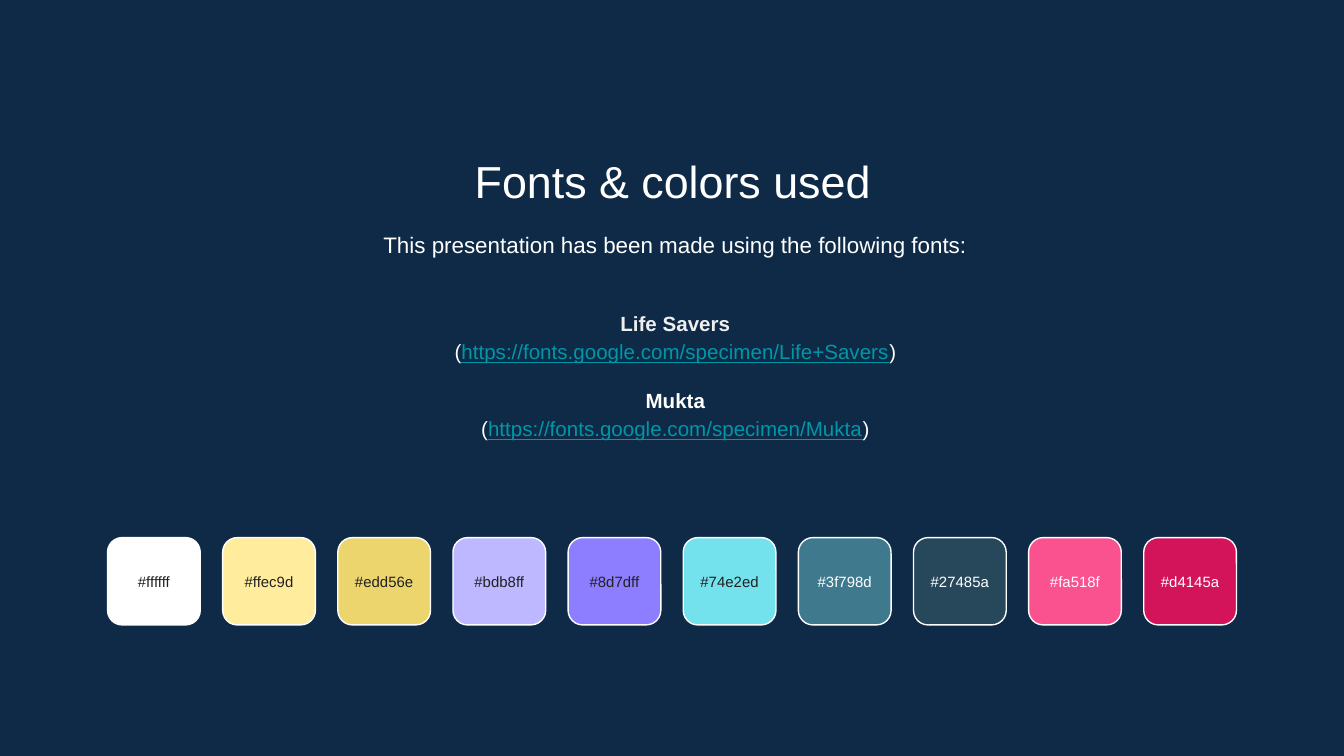
from pptx import Presentation
from pptx.dml.color import RGBColor
from pptx.enum.shapes import MSO_SHAPE
from pptx.enum.text import MSO_ANCHOR, MSO_AUTO_SIZE, PP_ALIGN
from pptx.util import Inches, Pt

FONT = "Arial"
COLORS = {"background": "0E2A47", "white": "FFFFFF", "pale": "EFEFEF",
          "dark": "212121", "link": "0097A7"}
FONTS_USED = [
    ("Life Savers", "https://fonts.google.com/specimen/Life+Savers", "pale"),
    ("Mukta", "https://fonts.google.com/specimen/Mukta", "white"),
]
SWATCHES = [
    ("ffffff", "dark"), ("ffec9d", "dark"), ("edd56e", "dark"),
    ("bdb8ff", "dark"), ("8d7dff", "dark"), ("74e2ed", "dark"),
    ("3f798d", "white"), ("27485a", "white"), ("fa518f", "white"),
    ("d4145a", "white"),
]


def rgb(name):
    return RGBColor.from_string(COLORS[name])


def set_frame(sp, anchor):
    """Give a text shape equal insets, wrapping and an anchor."""
    tf = sp.text_frame
    tf.word_wrap = True
    tf.auto_size = MSO_AUTO_SIZE.NONE
    tf.vertical_anchor = anchor
    tf.margin_left = tf.margin_right = Inches(0.1)
    tf.margin_top = tf.margin_bottom = Inches(0.1)
    return tf


def add_box(shapes, left, top, width, height, anchor=MSO_ANCHOR.TOP):
    sp = shapes.add_textbox(Inches(left), Inches(top), Inches(width), Inches(height))
    return set_frame(sp, anchor)


def add_run(p, text, size, color, bold=False, underline=False):
    p.alignment = PP_ALIGN.CENTER
    r = p.add_run()
    r.text = text
    r.font.name = FONT
    r.font.size = Pt(size)
    r.font.bold = bold
    r.font.underline = underline
    r.font.color.rgb = rgb(color)


def place_title(s, left, top, width, height):
    sp = s.shapes.title
    sp.left, sp.top = Inches(left), Inches(top)
    sp.width, sp.height = Inches(width), Inches(height)
    tf = set_frame(sp, MSO_ANCHOR.TOP)
    add_run(tf.paragraphs[0], "Fonts & colors used", 24, "white")


def add_intro(s, left, top, width, height):
    p = add_box(s.shapes, left, top, width, height).paragraphs[0]
    p.line_spacing = 1.15
    add_run(p, "This presentation has been made using the following fonts:", 12, "white")


def add_font_list(s, left, top, width, height):
    tf = add_box(s.shapes, left, top, width, height, MSO_ANCHOR.MIDDLE)
    for i, (name, url, color) in enumerate(FONTS_USED):
        heading = tf.add_paragraph() if i else tf.paragraphs[0]
        if i:
            heading.space_before = Pt(11)
        add_run(heading, name, 11, color, bold=True)
        address = tf.add_paragraph()
        add_run(address, "(", 11, "white")
        add_run(address, url, 11, "link", underline=True)
        add_run(address, ")", 11, "white")
    for p in tf.paragraphs:
        p.line_spacing = 1.15


def add_swatch(s, left, top, width, height, fill, text_color):
    """Group a rounded color tile with its hex label."""
    shapes = s.shapes.add_group_shape().shapes
    sp = shapes.add_shape(MSO_SHAPE.ROUNDED_RECTANGLE, Inches(left), Inches(top),
                          Inches(width), Inches(height))
    sp.shadow.inherit = False
    sp.fill.solid()
    sp.fill.fore_color.rgb = RGBColor.from_string(fill.upper())
    sp.line.color.rgb = rgb("white")
    sp.line.width = Pt(0.75)
    label_h = 0.38
    tf = add_box(shapes, left, top + (height - label_h) / 2, width, label_h,
                 MSO_ANCHOR.MIDDLE)
    add_run(tf.paragraphs[0], f"#{fill}", 8, text_color)


def add_palette(s, left, top, width, height):
    """Spread the swatches evenly across the box."""
    tile_w = 0.69
    pitch = (width - tile_w) / (len(SWATCHES) - 1)
    for i, (fill, text_color) in enumerate(SWATCHES):
        add_swatch(s, left + i * pitch, top, tile_w, height, fill, text_color)


def main():
    prs = Presentation()
    prs.slide_width = Inches(10)
    prs.slide_height = Inches(10 * 9 / 16)
    s = prs.slides.add_slide(prs.slide_layouts[5])
    s.background.fill.solid()
    s.background.fill.fore_color.rgb = rgb("background")
    place_title(s, 1.15, 1.04, 7.71, 0.53)
    add_intro(s, 1.17, 1.59, 7.71, 0.48)
    add_font_list(s, 1.17, 2.1, 7.71, 1.37)
    add_palette(s, 0.8, 4, 8.4, 0.65)
    prs.save("out.pptx")


if __name__ == "__main__":
    main()
